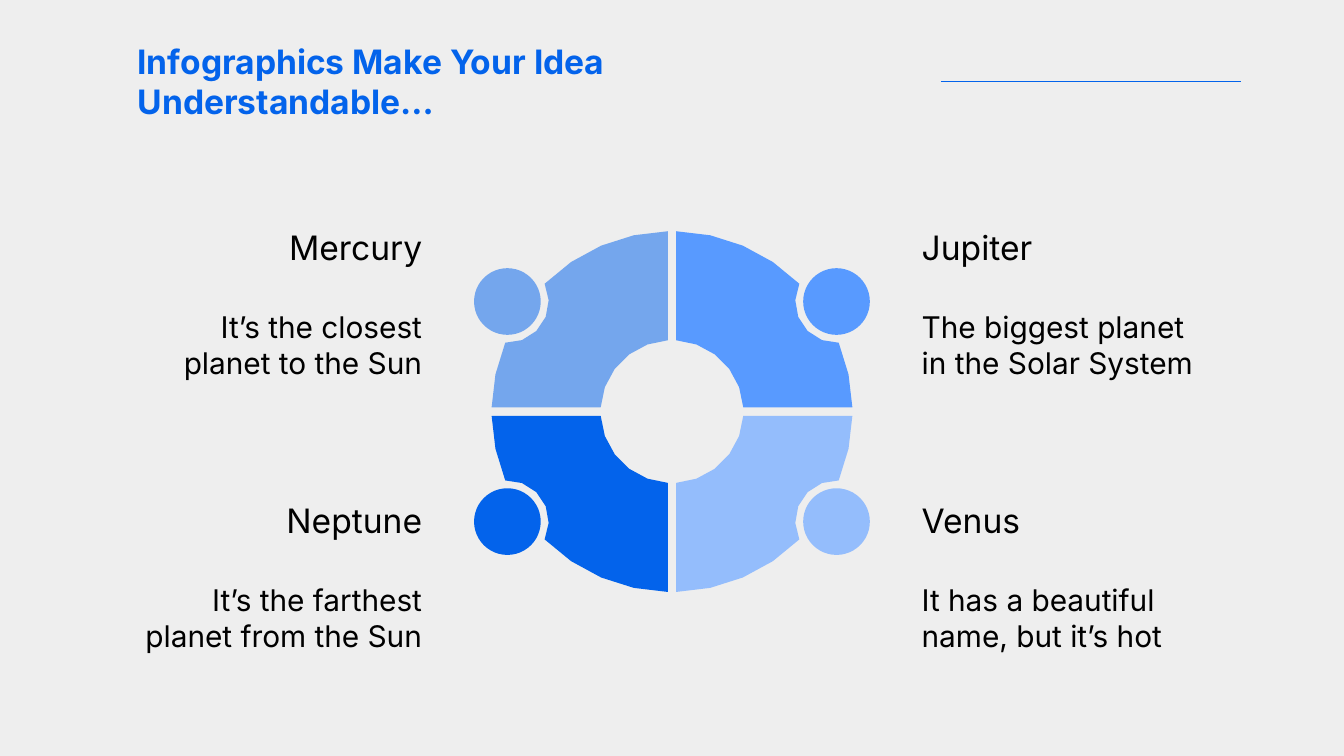
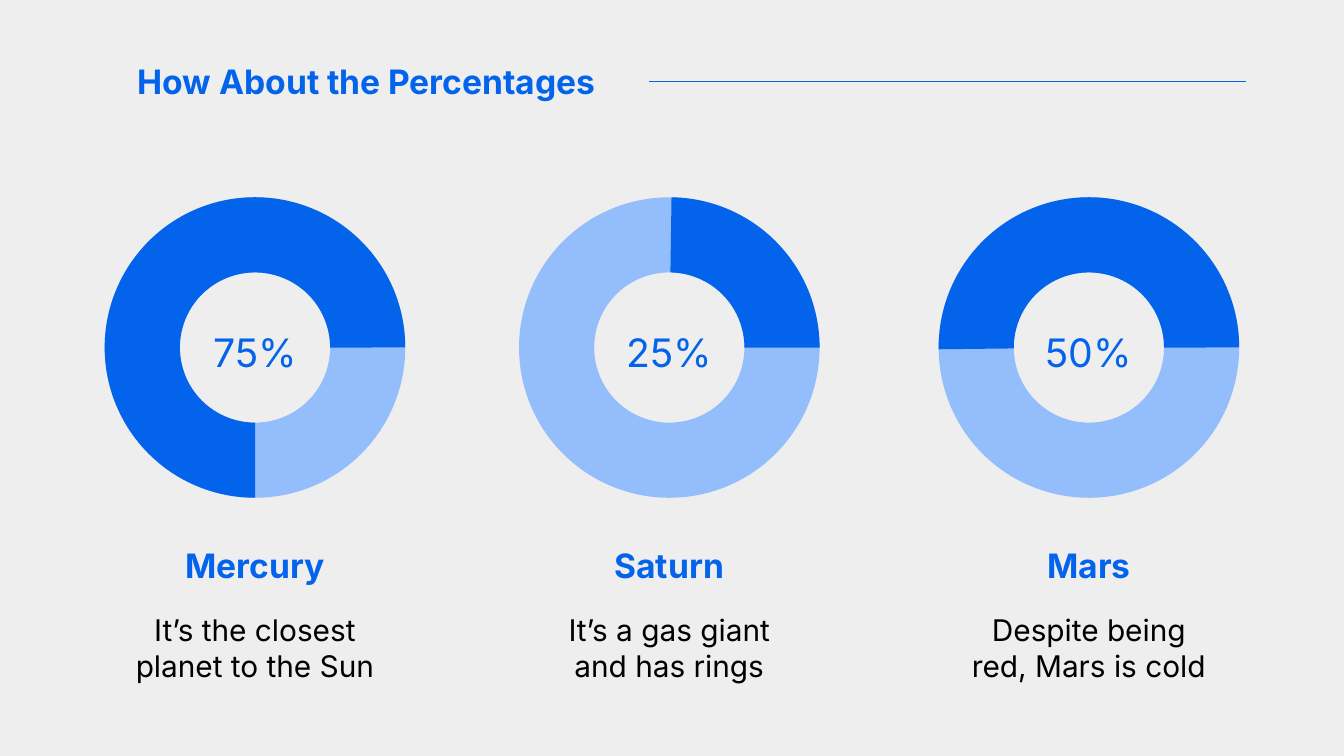
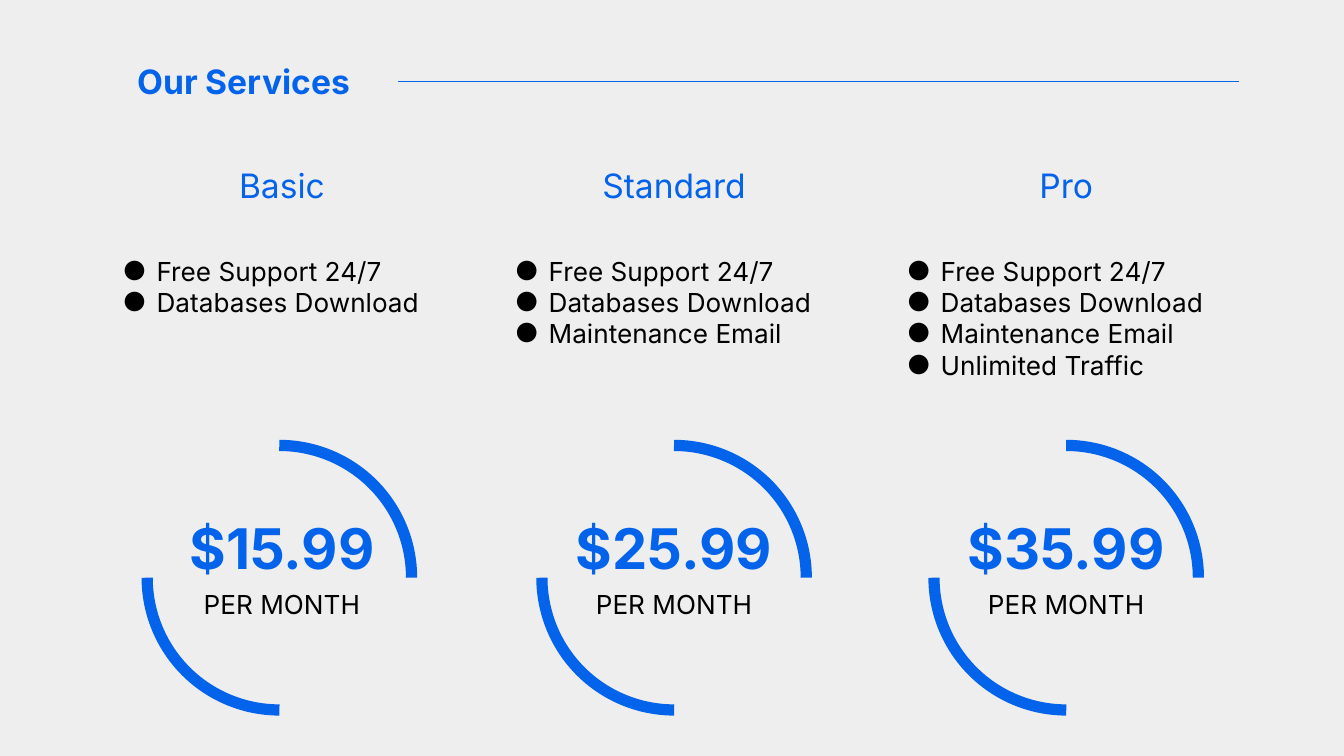
"""Build three infographic slides about planets and service plans."""
from math import acos, asin, atan2, ceil, cos, hypot, pi, sin

from lxml.etree import SubElement
from pptx import Presentation
from pptx.dml.color import RGBColor
from pptx.enum.shapes import MSO_CONNECTOR, MSO_SHAPE as Preset
from pptx.enum.text import MSO_ANCHOR as Anchor, MSO_AUTO_SIZE, PP_ALIGN as Align
from pptx.oxml.ns import qn
from pptx.util import Cm, Pt

BLUE = RGBColor(0x03, 0x63, 0xEB)
BRIGHT = RGBColor(0x58, 0x9A, 0xFF)
DUSTY = RGBColor(0x74, 0xA6, 0xED)
PALE = RGBColor(0x94, 0xBD, 0xFC)
BLACK = RGBColor(0, 0, 0)
BACKGROUND = RGBColor(0xEE, 0xEE, 0xEE)
FONT = "Inter"
WIDE_INSET, INSET = 0.64, 0.25

RING_X, RING_Y = 12.7, 7.78
RING_OUTER, RING_INNER, RING_GAP = 3.41, 1.35, 0.08
KNOB_X, KNOB_Y, KNOB_RADIUS, BITE_RADIUS = 3.11, 2.08, 0.63, 0.78
CURVE_TOLERANCE = 0.02

QUADRANTS = [
    (-1, -1, DUSTY, "Mercury", "It’s the closest planet to the Sun"),
    (1, -1, BRIGHT, "Jupiter", "The biggest planet in the Solar System"),
    (-1, 1, BLUE, "Neptune", "It’s the farthest planet from the Sun"),
    (1, 1, PALE, "Venus", "It has a beautiful name, but it’s hot"),
]
SHARES = [
    (4.82, "75%", 89.9, "Mercury", "It’s the closest planet to the Sun"),
    (12.65, "25%", 270.85, "Saturn", "It’s a gas giant and has rings"),
    (20.58, "50%", 179.32, "Mars", "Despite being red, Mars is cold"),
]
FEATURES = ["Free Support 24/7", "Databases Download", "Maintenance Email",
            "Unlimited Traffic"]
PLANS = [
    ("Basic", "$15.99", 2, 5.28),
    ("Standard", "$25.99", 3, 12.74),
    ("Pro", "$35.99", 4, 20.15),
]


def style_text(shape, size, color=BLACK, bold=False, align=Align.LEFT,
               anchor=Anchor.MIDDLE, inset=INSET):
    """Format the frame, paragraphs and runs of a shape."""
    frame = shape.text_frame
    frame.word_wrap = True
    frame.auto_size = MSO_AUTO_SIZE.NONE
    frame.vertical_anchor = anchor
    frame.margin_left = frame.margin_right = Cm(inset)
    frame.margin_top = frame.margin_bottom = Cm(inset)
    for para in frame.paragraphs:
        para.alignment = align
        for span in para.runs:
            span.font.name = FONT
            span.font.size = Pt(size)
            span.font.bold = bold
            span.font.color.rgb = color


def add_text(page, text, left, top, width, height, size, **style):
    """Add a wrapped text box."""
    box = page.shapes.add_textbox(Cm(left), Cm(top), Cm(width), Cm(height))
    box.text_frame.text = text
    style_text(box, size, **style)
    return box


def add_centered(page, text, center, top, width, height, size, **style):
    """Add centred text around a vertical axis."""
    add_text(page, text, center - width / 2, top, width, height, size,
             align=Align.CENTER, **style)


def add_bullets(page, items, left, top, width, height):
    """Add a bulleted list."""
    box = add_text(page, "\n".join(items), left, top, width, height, 14,
                   anchor=Anchor.TOP)
    for para in box.text_frame.paragraphs:
        props = para._p.get_or_add_pPr()
        props.set("marL", str(Cm(0.64)))
        props.set("indent", str(-Cm(0.64)))
        tint = SubElement(props, qn("a:buClr"))
        SubElement(tint, qn("a:srgbClr")).set("val", str(BLACK))
        SubElement(props, qn("a:buFont")).set("typeface", FONT)
        SubElement(props, qn("a:buChar")).set("char", "●")


def paint(shape, color):
    """Give a shape a plain fill without outline or shadow."""
    shape.shadow.inherit = False
    shape.fill.solid()
    shape.fill.fore_color.rgb = color
    shape.line.fill.background()


def add_round(page, preset, x, y, radius):
    """Add a round preset shape about its centre."""
    return page.shapes.add_shape(preset, Cm(x - radius), Cm(y - radius),
                                 Cm(2 * radius), Cm(2 * radius))


def add_page(deck, heading, width, rule_end):
    """Add a slide with its title and the rule to the right of it."""
    page = deck.slides.add_slide(deck.slide_layouts[5])
    title = page.shapes.title
    left, top, height = 1.96, 0.71, 1.65
    title.left, title.top = Cm(left), Cm(top)
    title.width, title.height = Cm(width), Cm(height)
    title.text_frame.text = heading
    style_text(title, 18, color=BLUE, bold=True, inset=WIDE_INSET)
    middle = Cm(1.54)
    rule = page.shapes.add_connector(MSO_CONNECTOR.STRAIGHT, Cm(left + width),
                                     middle, Cm(rule_end), middle)
    rule.line.color.rgb = BLUE
    rule.line.width = Pt(0.75)
    SubElement(rule._element.spPr, qn("a:effectLst"))
    return page


def arc_points(x, y, radius, start, end):
    """List the fewest points that follow an arc within the tolerance."""
    widest = 2 * acos(1 - CURVE_TOLERANCE / radius)
    steps = ceil(abs(end - start) / widest)
    angles = [start + (end - start) * step / steps for step in range(steps + 1)]
    return [(x + radius * cos(angle), y + radius * sin(angle)) for angle in angles]


def quadrant_points():
    """Outline a ring quadrant with a round bite for its knob."""
    reach, aim = hypot(KNOB_X, KNOB_Y), atan2(KNOB_Y, KNOB_X)
    ring_half = acos((RING_OUTER**2 + reach**2 - BITE_RADIUS**2)
                     / (2 * RING_OUTER * reach))
    bite_half = acos((BITE_RADIUS**2 + reach**2 - RING_OUTER**2)
                     / (2 * BITE_RADIUS * reach))
    outer_gap, inner_gap = asin(RING_GAP / RING_OUTER), asin(RING_GAP / RING_INNER)
    return (arc_points(0, 0, RING_OUTER, outer_gap, aim - ring_half)
            + arc_points(KNOB_X, KNOB_Y, BITE_RADIUS,
                         aim + pi + bite_half, aim + pi - bite_half)[1:-1]
            + arc_points(0, 0, RING_OUTER, aim + ring_half, pi / 2 - outer_gap)
            + arc_points(0, 0, RING_INNER, pi / 2 - inner_gap, inner_gap))


def add_quadrant(page, side, level, color):
    """Add a ring quadrant and its knob, mirrored by side and level."""
    points = [(Cm(RING_X + side * x), Cm(RING_Y + level * y))
              for x, y in quadrant_points()]
    builder = page.shapes.build_freeform(*points[0])
    builder.add_line_segments(points[1:], close=True)
    paint(builder.convert_to_shape(), color)
    paint(add_round(page, Preset.OVAL, RING_X + side * KNOB_X,
                    RING_Y + level * KNOB_Y, KNOB_RADIUS), color)


def add_share(page, center, label, start):
    """Add a ring gauge, filled from a start angle, with its label inside."""
    middle, radius = 6.57, 2.84
    paint(add_round(page, Preset.DONUT, center, middle, radius), PALE)
    gauge = add_round(page, Preset.BLOCK_ARC, center, middle, radius)
    gauge.adjustments[0] = 0.6 * start
    gauge.adjustments[1] = 0
    gauge.adjustments[2] = 0.25
    paint(gauge, BLUE)
    add_centered(page, label, center, 6.12, 2.84, 1.07, 21, color=BLUE)


def add_dial(page, center):
    """Add two opposite quarter arcs."""
    for rotation in (0, 180):
        arc = add_round(page, Preset.ARC, center, 10.92, 2.5)
        arc.shadow.inherit = False
        arc.rotation = rotation
        arc.fill.background()
        arc.line.color.rgb = BLUE
        arc.line.width = Pt(6)


def add_ring_page(deck):
    """Build the four-planet ring slide."""
    page = add_page(deck, "Infographics Make Your Idea Understandable…", 15.82, 23.46)
    for side, level, color, planet, fact in QUADRANTS:
        add_quadrant(page, side, level, color)
        top = 3.96 if level < 0 else 9.12
        for text, width, offset, height, size in ((planet, 6.25, 0, 1.42, 18),
                                                  (fact, 6.63, 1.43, 2.24, 16)):
            left = 16.78 if side > 0 else 8.62 - width
            add_text(page, text, left, top + offset, width, height, size,
                     align=Align.LEFT if side > 0 else Align.RIGHT,
                     inset=WIDE_INSET)


def add_share_page(deck):
    """Build the percentages slide."""
    page = add_page(deck, "How About the Percentages", 10.31, 23.55)
    for center, label, start, planet, fact in SHARES:
        add_share(page, center, label, start)
        add_centered(page, planet, center, 9.68, 5.44, 1.63, 18, color=BLUE,
                     bold=True, anchor=Anchor.BOTTOM)
        add_centered(page, fact, center, 11.31, 5.26, 1.98, 16, anchor=Anchor.TOP)


def add_plan_page(deck):
    """Build the services slide."""
    page = add_page(deck, "Our Services", 5.56, 23.42)
    for column, (plan, price, count, dial_center) in enumerate(PLANS):
        center = 5.33 + 7.41 * column
        add_dial(page, dial_center)
        add_centered(page, plan, center, 2.84, 3.86, 1.32, 18, color=BLUE)
        add_bullets(page, FEATURES[:count], center - 3.26, 4.57, 6.53, 2.82)
        add_centered(page, price, center, 9.8, 4.37, 1.09, 30, color=BLUE, bold=True)
        add_centered(page, "PER MONTH", center, 10.88, 4.37, 1.09, 14)


def main():
    """Build and save the deck."""
    deck = Presentation()
    deck.slide_width, deck.slide_height = Cm(25.4), Cm(14.29)
    fill = deck.slide_master.background.fill
    fill.solid()
    fill.fore_color.rgb = BACKGROUND
    add_ring_page(deck)
    add_share_page(deck)
    add_plan_page(deck)
    deck.save("out.pptx")


if __name__ == "__main__":
    main()
